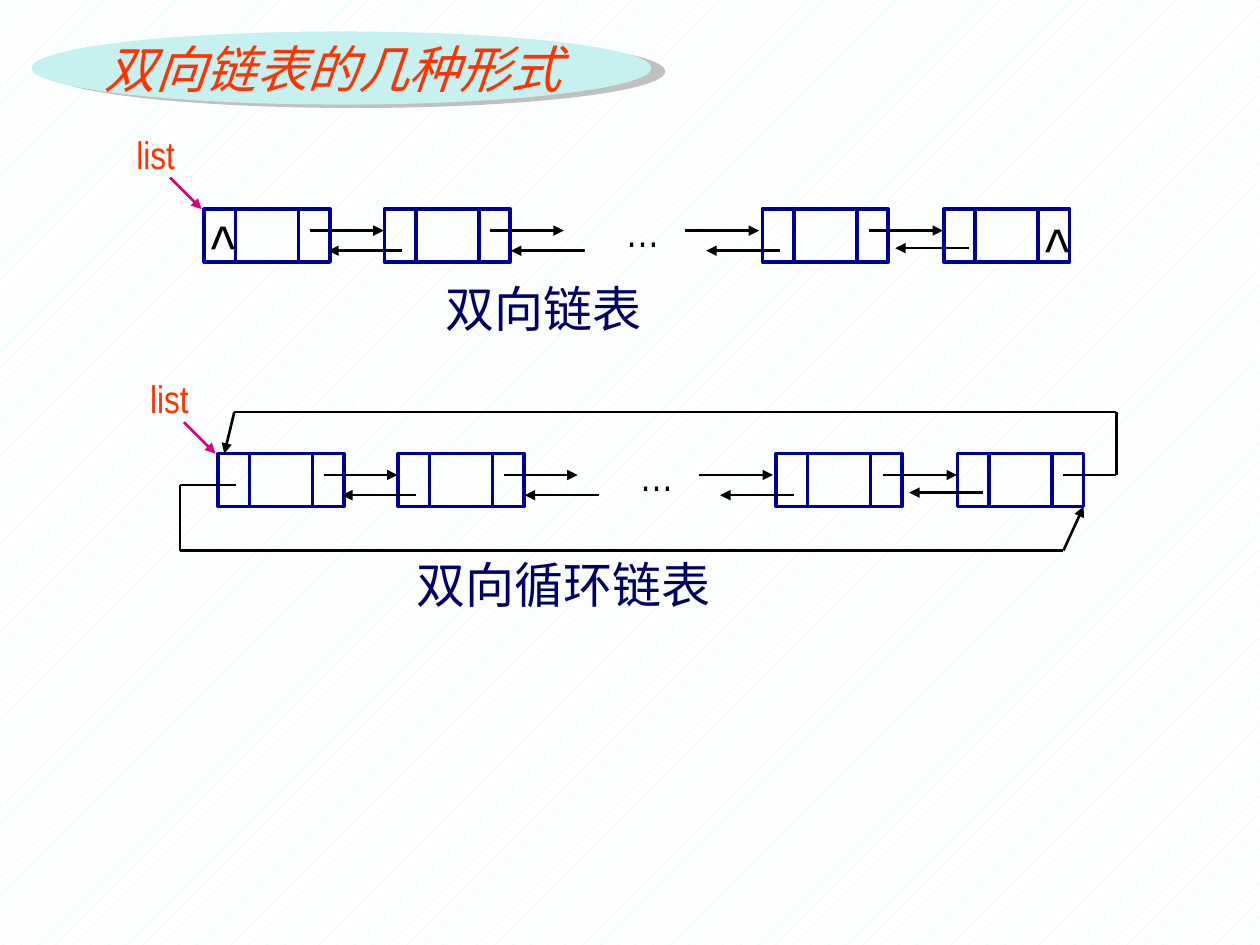
from pptx import Presentation, util as u
from pptx.dml.color import RGBColor
from pptx.enum import dml, shapes, text
from pptx.oxml.ns import qn
from lxml import etree

THEME = {
    "font": "Arial Narrow",
    "ink": "000000", "box": "000099", "label": "000066",
    "head": "FF3300", "entry": "DC0081", "oval": "C7F1F0",
    "shade": "C0C0C0", "dots": "C1FEF9", "paper": "FFFFFF",
    "title": 29, "name": 28, "dot": 24, "null": 36, "list": 22,
    "edge": 2, "wire": 1.5,
}

TITLE = "双向链表的几种形式"

# Offsets below are measured from the top left corner of the first node.
NODES = [0, 1.43, 4.43, 5.87]
CELLS = [(0, 0.25), (0.25, 0.5), (0.75, 0.25)]
HIGH = 0.42
REACH = 0.585
NEXT = [(0.84, 0.17), (2.27, 0.17), (3.82, 0.17), (5.28, 0.17)]
PREV = [(1.57, 0.33), (3.02, 0.33), (4.57, 0.33), (6.07, 0.31)]

# Each list: corner of its first node, name, box of the name, null marks.
LISTS = [
    ((1.62, 1.66), "双向链表", (3.44, 2.16, 3.93, 0.57),
     [(1.57, 1.6), (8.19, 1.62)]),
    ((1.73, 3.6), "双向循环链表", (3.21, 4.35, 4.62, 0.57), []),
]

# Wires that close the ring; each path ends in an arrowhead.
LOOPS = [
    [(8.44, 3.77), (8.86, 3.77), (8.86, 3.27), (1.86, 3.27), (1.78, 3.6)],
    [(1.87, 3.85), (1.43, 3.85), (1.43, 4.37), (8.44, 4.37), (8.6, 4.02)],
]

deck = Presentation()
deck.slide_width, deck.slide_height = u.Inches(10), u.Inches(7.5)
slide = deck.slides.add_slide(deck.slide_layouts[6])


def tint(key):
    return RGBColor.from_string(THEME[key])


def inch(vals):
    return [u.Inches(v) for v in vals]


def write(words, box, size, color, wrap=False, slant=None):
    frame = slide.shapes.add_textbox(*inch(box)).text_frame
    frame.word_wrap = wrap
    para = frame.paragraphs[0]
    para.text = words
    if not wrap:
        para.alignment = text.PP_ALIGN.CENTER
    font = para.font
    font.name, font.size, font.italic = THEME["font"], u.Pt(THEME[size]), slant
    font.color.rgb = tint(color)


def wire(start, end, color="ink", arrow=True):
    line = slide.shapes.add_connector(
        shapes.MSO_CONNECTOR.STRAIGHT, *inch(start + end))
    line.line.color.rgb = tint(color)
    line.line.width = u.Pt(THEME["wire"])
    if arrow:
        etree.SubElement(line.line._get_or_add_ln(), qn("a:tailEnd"),
                         type="triangle")
    etree.SubElement(line._element.spPr, qn("a:effectLst"))


def cell(x, y, wide):
    box = slide.shapes.add_shape(
        shapes.MSO_SHAPE.RECTANGLE, *inch((x, y, wide, HIGH)))
    box.shadow.inherit = False
    box.fill.background()
    box.line.color.rgb = tint("box")
    box.line.width = u.Pt(THEME["edge"])


def chain(x, y):
    """Draw the nodes, links and entry pointer of one list."""
    for dx, dy in NEXT:
        wire((x + dx, y + dy), (x + dx + REACH, y + dy))
    for node in NODES:
        for dx, wide in CELLS:
            cell(x + node + dx, y, wide)
    for dx, dy in PREV:
        wire((x + dx, y + dy), (x + dx - REACH, y + dy))
    write("…", (x + 3.24, y - 0.08, 0.48, 0.51), "dot", "ink")
    write("list", (x - 0.68, y - 0.67, 0.59, 0.47), "list", "head")
    wire((x - 0.27, y - 0.25), (x - 0.02, y), "entry")


def banner():
    oval = slide.shapes.add_shape(
        shapes.MSO_SHAPE.OVAL, *inch((0.25, 0.25, 4.92, 0.58)))
    oval.shadow.inherit = False
    oval.fill.solid()
    oval.fill.fore_color.rgb = tint("oval")
    oval.line.fill.background()
    glow = etree.SubElement(
        oval._element.spPr.find(qn("a:effectLst")), qn("a:outerShdw"),
        dist=str(u.Pt(8.2)), dir=str(14 * 60000), algn="ctr",
        rotWithShape="0")
    etree.SubElement(glow, qn("a:srgbClr"), val=THEME["shade"])
    write(TITLE, (0.73, 0.25, 4.08, 0.58), "title", "head", True, True)


back = slide.background.fill
back.patterned()
back.pattern = dml.MSO_PATTERN.PERCENT_5
back.fore_color.rgb, back.back_color.rgb = tint("dots"), tint("paper")

for corner, name, box, nulls in LISTS:
    chain(*corner)
    for spot in nulls:
        write("^", spot + (0.4, 0.71), "null", "ink")
    write(name, box, "name", "label", True)

for path in LOOPS:
    for step, (start, end) in enumerate(zip(path, path[1:]), 2):
        wire(start, end, arrow=step == len(path))

banner()
deck.save("out.pptx")
